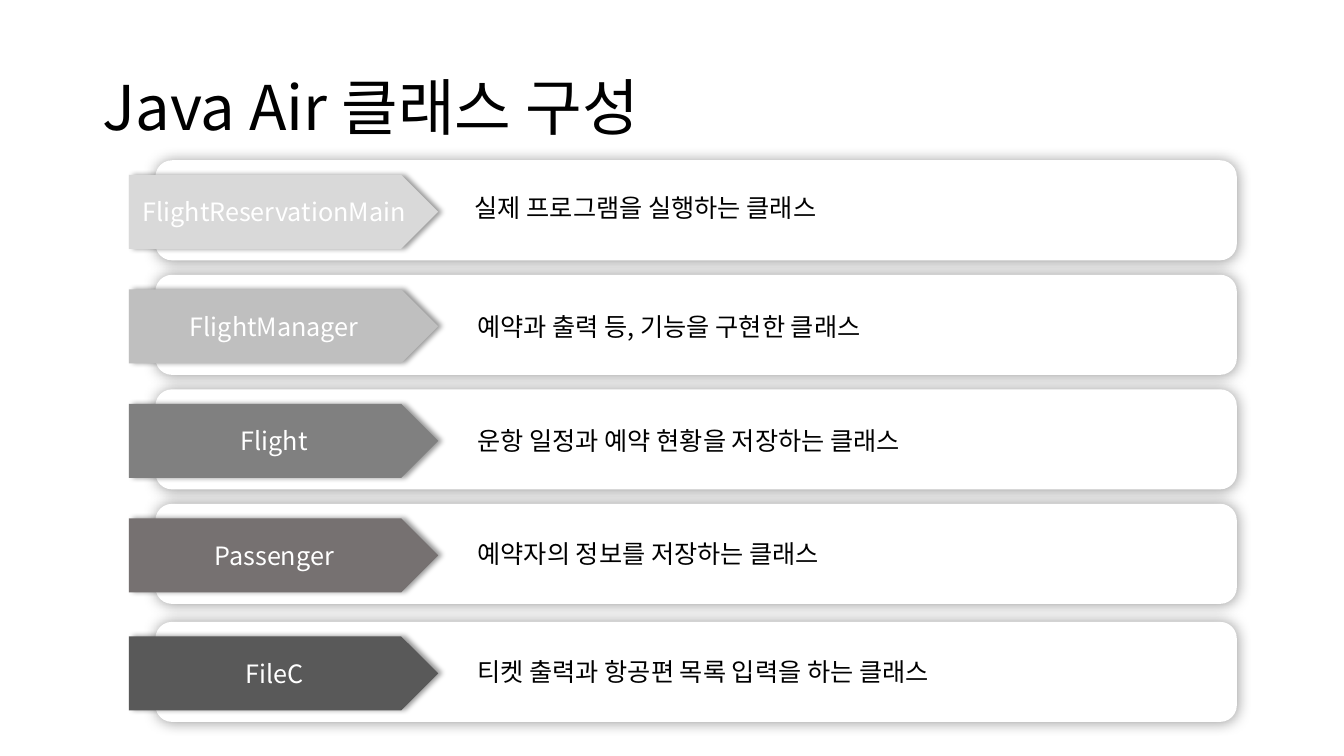
from lxml import etree
from pptx import Presentation
from pptx.dml.color import RGBColor
from pptx.enum import shapes, text
from pptx.oxml import ns
from pptx.util import Pt

FONT = "Noto Sans CJK KR"
BLACK = RGBColor(0x00, 0x00, 0x00)
WHITE = RGBColor(0xFF, 0xFF, 0xFF)
PALE_GRAY = RGBColor(0xD9, 0xD9, 0xD9)
LIGHT_GRAY = RGBColor(0xBF, 0xBF, 0xBF)
MID_GRAY = RGBColor(0x80, 0x80, 0x80)
WARM_GRAY = RGBColor(0x76, 0x71, 0x71)
DARK_GRAY = RGBColor(0x59, 0x59, 0x59)

FIRST_TOP = 114.5
ROW_STEP = 81.8
LAST_ROW_DROP = 2.5
LABEL_OFFSET = 10.4

# class name, color, description, description left, offset and width
CLASSES = [
    ("FlightReservationMain", PALE_GRAY, "실제 프로그램을 실행하는 클래스", 332, 19.4, 294.5),
    ("FlightManager", LIGHT_GRAY, "예약과 출력 등, 기능을 구현한 클래스", 334, 22.3, 353),
    ("Flight", MID_GRAY, "운항 일정과 예약 현황을 저장하는 클래스", 334, 22.3, 353),
    ("Passenger", WARM_GRAY, "예약자의 정보를 저장하는 클래스", 334, 20.9, 353),
    ("FileC", DARK_GRAY, "티켓 출력과 항공편 목록 입력을 하는 클래스", 334, 20.9, 534),
]


def add_run(paragraph, words, size, color):
    run = paragraph.add_run()
    run.text = words
    run.font.size = Pt(size)
    run.font.name = FONT
    run.font.color.rgb = color
    etree.SubElement(run.font._element, ns.qn("a:ea"), typeface=FONT)


def add_shadow(shape, blur, distance):
    shape.shadow.inherit = False
    effects = shape._element.spPr.find(ns.qn("a:effectLst"))
    shadow = etree.SubElement(
        effects, ns.qn("a:outerShdw"), blurRad=str(Pt(blur)), dist=str(Pt(distance)),
        dir="0", algn="ctr", rotWithShape="0")
    tint = etree.SubElement(shadow, ns.qn("a:srgbClr"), val=str(BLACK))
    etree.SubElement(tint, ns.qn("a:alpha"), val="40000")


def add_panel(slide, kind, left, top, width, height, color, blur, distance):
    panel = slide.shapes.add_shape(kind, Pt(left), Pt(top), Pt(width), Pt(height))
    panel.fill.solid()
    panel.fill.fore_color.rgb = color
    panel.line.fill.background()
    add_shadow(panel, blur, distance)
    return panel


def add_card(slide, top):
    add_panel(slide, shapes.MSO_SHAPE.ROUNDED_RECTANGLE, 111, top, 772.5, 71.5, WHITE, 10, 0)


def add_class_label(slide, top, class_name, color):
    label = add_panel(slide, shapes.MSO_SHAPE.PENTAGON, 92, top, 221, 52.8, color, 4, 3)
    frame = label.text_frame
    frame.vertical_anchor = text.MSO_ANCHOR.MIDDLE
    frame.paragraphs[0].alignment = text.PP_ALIGN.CENTER
    add_run(frame.paragraphs[0], class_name, 18, WHITE)


def add_description(slide, left, top, width, words):
    frame = slide.shapes.add_textbox(Pt(left), Pt(top), Pt(width), Pt(29)).text_frame
    frame.word_wrap = True
    frame.auto_size = text.MSO_AUTO_SIZE.SHAPE_TO_FIT_TEXT
    add_run(frame.paragraphs[0], words, 18, BLACK)


def set_title(slide, words):
    title = slide.shapes.title
    title.left, title.top, title.width, title.height = Pt(66), Pt(26.8), Pt(828), Pt(104.4)
    frame = title.text_frame
    frame.vertical_anchor = text.MSO_ANCHOR.MIDDLE
    heading = frame.paragraphs[0]
    heading.alignment = text.PP_ALIGN.LEFT
    heading.line_spacing = 0.9
    add_run(heading, words, 44, BLACK)


def main():
    deck = Presentation()
    deck.slide_width, deck.slide_height = Pt(960), Pt(540)
    slide = deck.slides.add_slide(deck.slide_layouts[5])
    set_title(slide, "Java Air 클래스 구성")
    for row, (class_name, color, description, left, offset, width) in enumerate(CLASSES):
        top = FIRST_TOP + row * ROW_STEP
        if row == len(CLASSES) - 1:
            top += LAST_ROW_DROP
        add_card(slide, top)
        add_class_label(slide, top + LABEL_OFFSET, class_name, color)
        add_description(slide, left, top + offset, width, description)
    deck.save("out.pptx")


if __name__ == "__main__":
    main()
